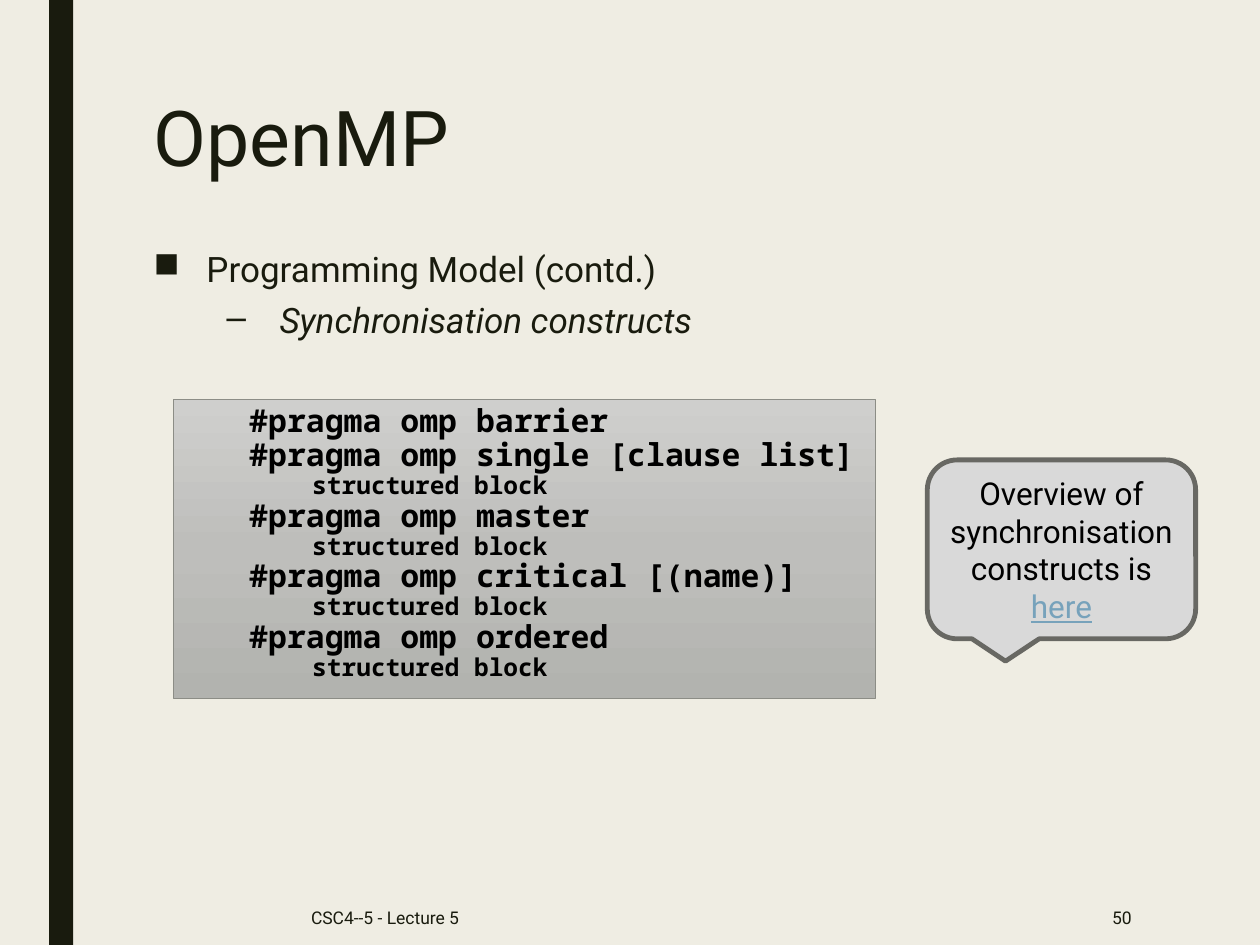
"""Build the OpenMP synchronisation constructs slide."""
from copy import deepcopy
from dataclasses import dataclass

from lxml import etree
from pptx import Presentation
from pptx.dml.color import RGBColor
from pptx.enum.shapes import MSO_SHAPE
from pptx.enum.text import MSO_ANCHOR, MSO_AUTO_SIZE, PP_ALIGN
from pptx.oxml.ns import qn
from pptx.util import Inches, Pt

RECTANGLE = MSO_SHAPE.RECTANGLE
CALLOUT = MSO_SHAPE.ROUNDED_RECTANGULAR_CALLOUT
TOP, MIDDLE = MSO_ANCHOR.TOP, MSO_ANCHOR.MIDDLE
LEFT, CENTER, RIGHT = PP_ALIGN.LEFT, PP_ALIGN.CENTER, PP_ALIGN.RIGHT


@dataclass(frozen=True)
class Theme:
    """Colours, fonts and type sizes."""
    background: str = "EFEDE3"
    ink: str = "191B0E"
    black: str = "000000"
    link: str = "77A2BB"
    panel: tuple = ("CFCFCD", "BEBEBB", "B2B3AF")
    panel_line: str = "8C8D86"
    callout: str = "D9D9D9"
    callout_line: str = "686863"
    font: str = "Roboto"
    code_font: str = "Noto Sans Mono"
    title: int = 44
    body: int = 20
    code: int = 18
    block: int = 14
    footer: int = 10


THEME = Theme()
WIDTH, HEIGHT = 10, 7.5
MARGIN, CONTENT_WIDTH = 1.12, 7.88
FOOTER_TOP, FOOTER_HEIGHT = 7.06, 0.44
HANGING = 0.42
CODE_INDENT = 0.5

TITLE = "OpenMP"
BULLETS = [
    ("Programming Model (contd.)", "■", 0.42, 10, False),
    ("Synchronisation constructs", "–", 1, 5, True),
]
BLOCK = "structured block"
DIRECTIVES = [
    ("barrier", False),
    ("single [clause list]", True),
    ("master", True),
    ("critical [(name)]", True),
    ("ordered", True),
]
NOTE = [("Overview of synchronisation constructs is ", False), ("here", True)]
FOOTERS = [("CSC4--5 - Lecture 5", 2.37, 5.15, LEFT), ("50", 7.77, 1.31, RIGHT)]


def color(value):
    return RGBColor.from_string(value)


def style(run, size, ink, font=THEME.font):
    run.font.size = Pt(size)
    run.font.name = font
    run.font.color.rgb = color(ink)


def prepare_frame(shape, anchor):
    frame = shape.text_frame
    frame.word_wrap = True
    frame.auto_size = MSO_AUTO_SIZE.NONE
    frame.vertical_anchor = anchor
    return frame


def add_text_box(slide, box, anchor=TOP):
    return prepare_frame(slide.shapes.add_textbox(*map(Inches, box)), anchor)


def add_filled_shape(slide, kind, box, fill, line=None, line_width=0):
    shape = slide.shapes.add_shape(kind, *map(Inches, box))
    shape.shadow.inherit = False
    shape.fill.solid()
    shape.fill.fore_color.rgb = color(fill)
    if line:
        shape.line.color.rgb = color(line)
        shape.line.width = Pt(line_width)
    else:
        shape.line.fill.background()
    return shape


def set_indent(paragraph, margin, first_line=0):
    properties = paragraph._p.get_or_add_pPr()
    properties.set("marL", str(Inches(margin)))
    properties.set("indent", str(Inches(first_line)))
    return properties


def set_gradient(shape, colors):
    shape.fill.gradient()
    shape.fill.gradient_angle = 270
    stop_list = shape._element.spPr.find(qn("a:gradFill")).find(qn("a:gsLst"))
    stop_list.insert(1, deepcopy(stop_list[0]))
    for index, (stop, value) in enumerate(zip(shape.fill.gradient_stops, colors)):
        stop.position = index / (len(colors) - 1)
        stop.color.rgb = color(value)


def add_title(slide):
    title = slide.shapes.title
    title.left, title.top, title.width, title.height = map(
        Inches, (MARGIN, 0.75, CONTENT_WIDTH, 1.62))
    frame = prepare_frame(title, TOP)
    frame.text = TITLE
    paragraph = frame.paragraphs[0]
    paragraph.alignment = LEFT
    paragraph.line_spacing = 0.89
    style(paragraph.runs[0], THEME.title, THEME.ink)


def add_bullets(slide):
    frame = add_text_box(slide, (MARGIN, 1.94, CONTENT_WIDTH, 4.48))
    frame.text = "\n".join(bullet[0] for bullet in BULLETS)
    for paragraph, (_, mark, margin, before, italic) in zip(frame.paragraphs, BULLETS):
        paragraph.line_spacing = 0.94
        paragraph.space_before, paragraph.space_after = Pt(before), Pt(2)
        properties = set_indent(paragraph, margin, -HANGING)
        etree.SubElement(properties, qn("a:buChar"), char=mark)
        style(paragraph.runs[0], THEME.body, THEME.ink)
        paragraph.runs[0].font.italic = italic


def add_code(slide):
    panel = add_filled_shape(slide, RECTANGLE, (1.38, 3.17, 5.57, 2.37),
                             THEME.panel[0], THEME.panel_line, 0.5)
    set_gradient(panel, THEME.panel)
    lines = []
    for directive, has_block in DIRECTIVES:
        lines.append((f"#pragma omp {directive}", 1, THEME.code))
        if has_block:
            lines.append((BLOCK, 2, THEME.block))
    frame = prepare_frame(panel, TOP)
    frame.text = "\n".join(line[0] for line in lines)
    for paragraph, (_, level, size) in zip(frame.paragraphs, lines):
        paragraph.level = level
        paragraph.alignment = LEFT
        paragraph.line_spacing = 0.9
        set_indent(paragraph, level * CODE_INDENT)
        style(paragraph.runs[0], size, THEME.black, THEME.code_font)
        paragraph.runs[0].font.bold = True


def add_note(slide):
    callout = add_filled_shape(slide, CALLOUT, (7.36, 3.65, 2.13, 1.42),
                               THEME.callout, THEME.callout_line, 2.75)
    paragraph = prepare_frame(callout, MIDDLE).paragraphs[0]
    paragraph.alignment = CENTER
    for text, linked in NOTE:
        run = paragraph.add_run()
        run.text = text
        style(run, THEME.code, THEME.link if linked else THEME.black)
        run.font.underline = linked


def add_footers(slide):
    for text, left, width, alignment in FOOTERS:
        frame = add_text_box(slide, (left, FOOTER_TOP, width, FOOTER_HEIGHT), MIDDLE)
        frame.text = text
        frame.paragraphs[0].alignment = alignment
        style(frame.paragraphs[0].runs[0], THEME.footer, THEME.ink)


def main():
    presentation = Presentation()
    presentation.slide_width, presentation.slide_height = Inches(WIDTH), Inches(HEIGHT)
    slide = presentation.slides.add_slide(presentation.slide_layouts.get_by_name("Title Only"))
    slide.background.fill.solid()
    slide.background.fill.fore_color.rgb = color(THEME.background)
    add_filled_shape(slide, RECTANGLE, (0.39, 0, 0.19, HEIGHT), THEME.ink)
    for add_part in (add_title, add_bullets, add_footers, add_code, add_note):
        add_part(slide)
    presentation.save("out.pptx")


if __name__ == "__main__":
    main()
